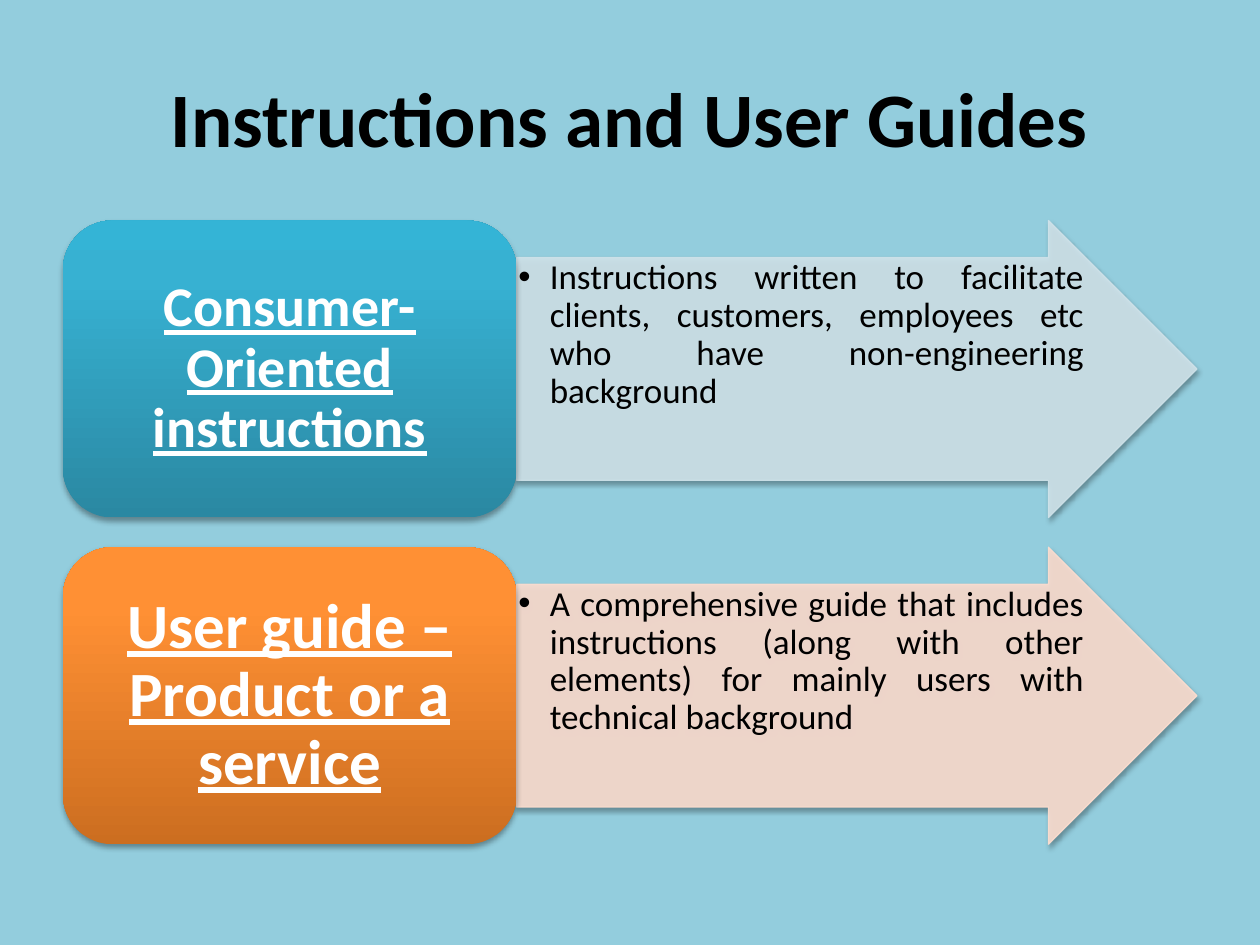
import pptx
import pptx.util
import pptx.dml.color
import pptx.enum.shapes
import pptx.enum.text
import pptx.oxml.ns
from collections import namedtuple
from dataclasses import dataclass
from lxml import etree

Pt = pptx.util.Pt
Align = pptx.enum.text.PP_ALIGN
Anchor = pptx.enum.text.MSO_ANCHOR
Preset = pptx.enum.shapes.MSO_SHAPE
qn = pptx.oxml.ns.qn
Box = namedtuple("Box", "left top width height")


@dataclass(frozen=True)
class Theme:
    font: str = "Calibri"
    background: str = "93CDDD"
    dark: str = "000000"
    light: str = "FFFFFF"
    teal: tuple = ("2A88A2", "37B1D2", "34B4D6")
    teal_tint: str = "D0E3EA"
    orange: tuple = ("CC6E20", "FF9034", "FF9136")
    orange_tint: str = "FCDDCF"
    title_size: int = 44
    guide_size: int = 36
    consumer_size: int = 32
    body_size: int = 20


THEME = Theme()
ROWS = [
    ("Consumer-Oriented instructions", THEME.consumer_size, 9, THEME.teal, THEME.teal_tint,
     "Instructions written to facilitate clients, customers, employees etc "
     "who have non-engineering background"),
    ("User guide –Product or a service", THEME.guide_size, 11, THEME.orange, THEME.orange_tint,
     "A comprehensive guide that includes instructions (along with other elements) "
     "for mainly users with technical background"),
]


def rgb(value):
    return pptx.dml.color.RGBColor.from_string(value)


def add_element(parent, tag, **attributes):
    return etree.SubElement(parent, qn(tag), attributes)


def write_text(shape, text, size, color=THEME.dark, bold=False, underline=False,
               align=Align.CENTER, anchor=Anchor.MIDDLE, insets=(7.2, 3.6, 7.2, 3.6),
               spacing=None, bullet_indent=0):
    frame = shape.text_frame
    frame.word_wrap = True
    frame.vertical_anchor = anchor
    frame.margin_left, frame.margin_top, frame.margin_right, frame.margin_bottom = map(Pt, insets)
    paragraph = frame.paragraphs[0]
    if bullet_indent:
        properties = paragraph._p.get_or_add_pPr()
        properties.set("marL", str(Pt(bullet_indent)))
        properties.set("indent", str(-Pt(bullet_indent)))
        add_element(properties, "a:buFont", typeface="Arial")
        add_element(properties, "a:buChar", char="•")
    paragraph.alignment = align
    if spacing:
        paragraph.line_spacing = spacing
    run = paragraph.add_run()
    run.text = text
    font = run.font
    font.name, font.size, font.bold, font.underline = THEME.font, Pt(size), bold, underline
    font.color.rgb = rgb(color)


def add_preset(slide, preset, box):
    return slide.shapes.add_shape(preset, *map(Pt, box))


def set_shadow(shape):
    shape.shadow.inherit = False
    effects = shape._element.spPr.find(qn("a:effectLst"))
    shadow = add_element(effects, "a:outerShdw", blurRad=str(Pt(3.1)), dist=str(Pt(1.8)),
                         dir="5400000", rotWithShape="0")
    color = add_element(shadow, "a:srgbClr", val=THEME.dark)
    add_element(color, "a:alpha", val="35000")


def set_gradient(shape, colors):
    shape.fill.gradient()
    gradient = shape._element.spPr.find(qn("a:gradFill"))
    for child in list(gradient):
        gradient.remove(child)
    stops = add_element(gradient, "a:gsLst")
    for position, color in zip((0, 80000, 100000), colors):
        stop = add_element(stops, "a:gs", pos=str(position))
        add_element(stop, "a:srgbClr", val=color)
    add_element(gradient, "a:lin", ang="16200000", scaled="0")


def add_title(slide, box):
    title = slide.shapes.title
    title.left, title.top, title.width, title.height = map(Pt, box)
    write_text(title, "Instructions and User Guides", THEME.title_size, bold=True)


def add_arrow(slide, box, tint, text):
    arrow = add_preset(slide, Preset.RIGHT_ARROW, box)
    arrow.adjustments[0], arrow.adjustments[1] = 0.75, 0.5
    for fill in (arrow.fill, arrow.line.fill):
        fill.solid()
        fill.fore_color.rgb = rgb(tint)
    arrow.line.width = Pt(0.75)
    for color in arrow._element.spPr.iter(qn("a:srgbClr")):
        add_element(color, "a:alpha", val="90000")
    set_shadow(arrow)
    write_text(arrow, text, THEME.body_size, align=Align.JUSTIFY, anchor=Anchor.TOP,
               insets=(1, 1, 1, 1), spacing=0.9, bullet_indent=18)


def add_label(slide, box, colors, text, size, side_inset):
    label = add_preset(slide, Preset.ROUNDED_RECTANGLE, box)
    set_gradient(label, colors)
    label.line.fill.background()
    set_shadow(label)
    write_text(label, text, size, color=THEME.light, bold=True, underline=True,
               insets=(side_inset, 5, side_inset, 5), spacing=0.9)


def add_row(slide, box, label, size, side_inset, colors, tint, text):
    label_width = box.width * 0.4
    arrow_box = box._replace(left=box.left + label_width, width=box.width - label_width)
    add_arrow(slide, arrow_box, tint, text)
    add_label(slide, box._replace(width=label_width), colors, label, size, side_inset)


def add_rows(slide, box):
    gap_share = 0.1
    height = box.height / (len(ROWS) + gap_share * (len(ROWS) - 1))
    for index, row in enumerate(ROWS):
        top = box.top + index * height * (1 + gap_share)
        add_row(slide, box._replace(top=top, height=height), *row)


def main():
    presentation = pptx.Presentation()
    presentation.slide_width, presentation.slide_height = Pt(720), Pt(540)
    slide = presentation.slides.add_slide(presentation.slide_layouts.get_by_name("Title Only"))
    slide.background.fill.solid()
    slide.background.fill.fore_color.rgb = rgb(THEME.background)
    add_title(slide, Box(36, 21.6, 648, 90))
    add_rows(slide, Box(36, 126, 648, 356.4))
    presentation.save("out.pptx")


if __name__ == "__main__":
    main()
